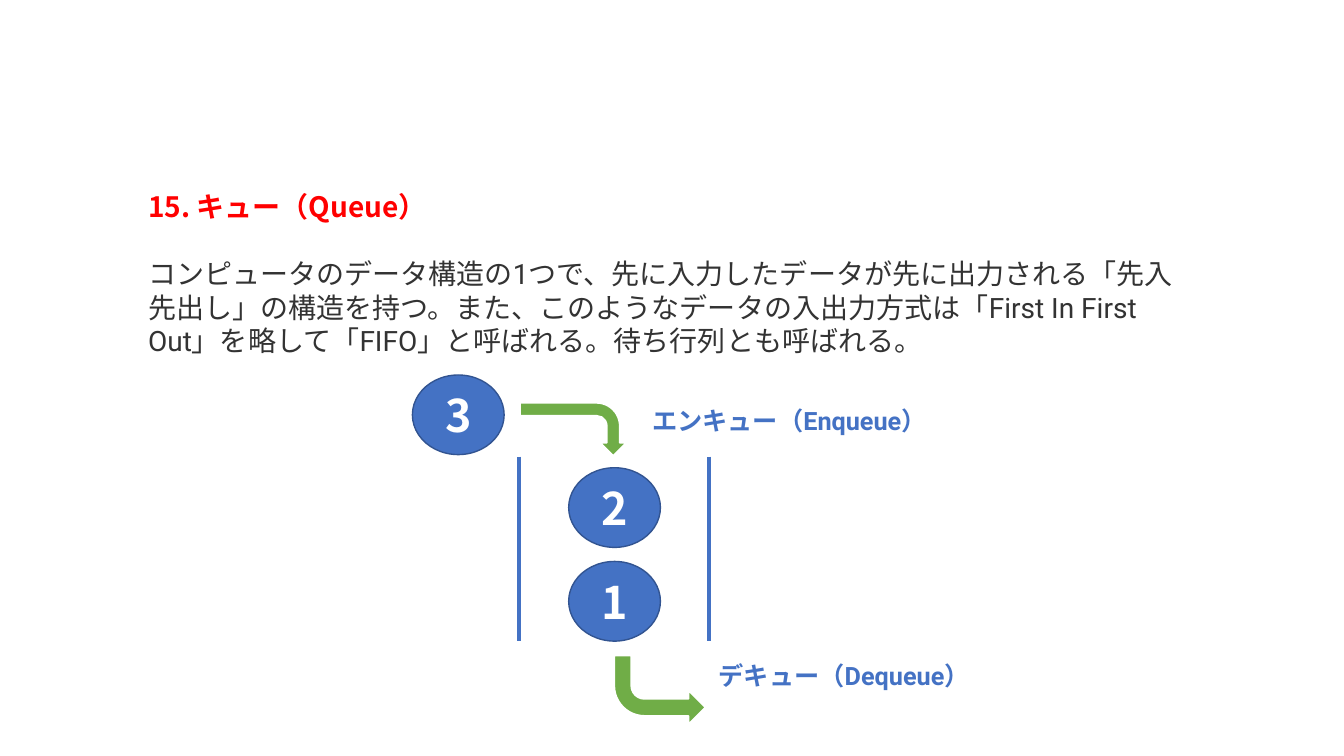
import lxml.etree
import pptx
import pptx.dml.color
import pptx.enum.lang
import pptx.enum.shapes
import pptx.enum.text
import pptx.oxml.ns
import pptx.util

Inches = pptx.util.Inches
Pt = pptx.util.Pt
SHAPE = pptx.enum.shapes.MSO_SHAPE
ALIGN = pptx.enum.text.PP_ALIGN
ANCHOR = pptx.enum.text.MSO_ANCHOR

COLORS = {
    "title": "FF0000",
    "body": "333333",
    "blue": "4472C4",
    "edge": "325491",
    "green": "70AD47",
    "white": "FFFFFF",
}
NOTO = "Noto Sans CJK JP"
ROBOTO = "Roboto"
TITLE = "15. キュー（Queue）"
BODY = (
    "コンピュータのデータ構造の1つで、先に入力したデータが先に出力される"
    "「先入先出し」の構造を持つ。また、このようなデータの入出力方式は"
    "「First In First Out」を略して「FIFO」と呼ばれる。待ち行列とも呼ばれる。"
)


def rgb(name):
    return pptx.dml.color.RGBColor.from_string(COLORS[name])


def write(para, text, size=20, font=ROBOTO, color="blue", bold=True,
          align=ALIGN.LEFT, before=0):
    para.alignment = align
    if before:
        para.space_before = Pt(before)
    run = para.add_run()
    run.text = text
    run.font.size = Pt(size)
    run.font.bold = bold
    run.font.color.rgb = rgb(color)
    run.font.name = font
    run.font.language_id = pptx.enum.lang.MSO_LANGUAGE_ID.JAPANESE
    east = lxml.etree.SubElement(run.font._element, pptx.oxml.ns.qn("a:ea"))
    east.set("typeface", NOTO)


def frame(slide, x, y, w, h):
    box = slide.shapes.add_textbox(Inches(x), Inches(y), Inches(w), Inches(h))
    box.text_frame.word_wrap = True
    return box.text_frame


def shape(slide, kind, x, y, w, h, fill, edge, width):
    item = slide.shapes.add_shape(kind, Inches(x), Inches(y), Inches(w), Inches(h))
    item.shadow.inherit = False
    item.fill.solid()
    item.fill.fore_color.rgb = rgb(fill)
    item.line.color.rgb = rgb(edge)
    item.line.width = Pt(width)
    return item


def wall(slide, x, y, h):
    line = slide.shapes.add_connector(
        pptx.enum.shapes.MSO_CONNECTOR.STRAIGHT,
        Inches(x), Inches(y), Inches(x), Inches(y + h))
    line.line.color.rgb = rgb("blue")
    line.line.width = Pt(3)
    lxml.etree.SubElement(line._element.spPr, pptx.oxml.ns.qn("a:effectLst"))


def ball(slide, text, x, y):
    item = shape(slide, SHAPE.OVAL, x, y, 0.91, 0.79, "blue", "edge", 1)
    item.text_frame.vertical_anchor = ANCHOR.MIDDLE
    write(item.text_frame.paragraphs[0], text, size=32, font=NOTO,
          color="white", align=ALIGN.CENTER)


def arrow(slide, x, y, w, h, turn, flip=False):
    item = shape(slide, SHAPE.BENT_ARROW, x, y, w, h, "green", "white", 1.5)
    item.rotation = turn
    if flip:
        item._element.spPr.find(pptx.oxml.ns.qn("a:xfrm")).set("flipH", "1")


def label(slide, text, x, y):
    area = frame(slide, x, y, 3.17, 0.4)
    write(area.paragraphs[0], text, size=18)


def intro(slide, x, y, w, h):
    area = frame(slide, x, y, w, h)
    write(area.paragraphs[0], TITLE, font=NOTO, color="title")
    write(area.add_paragraph(), BODY, color="body", bold=False, before=24)


def queue(slide, x, y, w, h):
    for side in (x, x + w):
        wall(slide, side, y, h)
    for text, dx, dy in (("1", 0.49, 1.04), ("2", 0.49, 0.11), ("3", -1.06, -0.81)):
        ball(slide, text, x + dx, y + dy)
    arrow(slide, x + 0.27, y - 0.8, 0.53, 1.06, 90)
    arrow(slide, x + 0.94, y + 1.97, 0.91, 0.69, 180, flip=True)
    label(slide, "エンキュー（Enqueue）", x + 1.22, y - 0.56)
    label(slide, "デキュー（Dequeue）", x + w, y + 1.97)


def main():
    deck = pptx.Presentation()
    deck.slide_width = Inches(13.33)
    deck.slide_height = Inches(7.5)
    slide = deck.slides.add_slide(deck.slide_layouts[6])
    intro(slide, 1.37, 1.83, 10.6, 1.78)
    queue(slide, 5.15, 4.53, 1.88, 1.83)
    deck.save("out.pptx")


if __name__ == "__main__":
    main()
